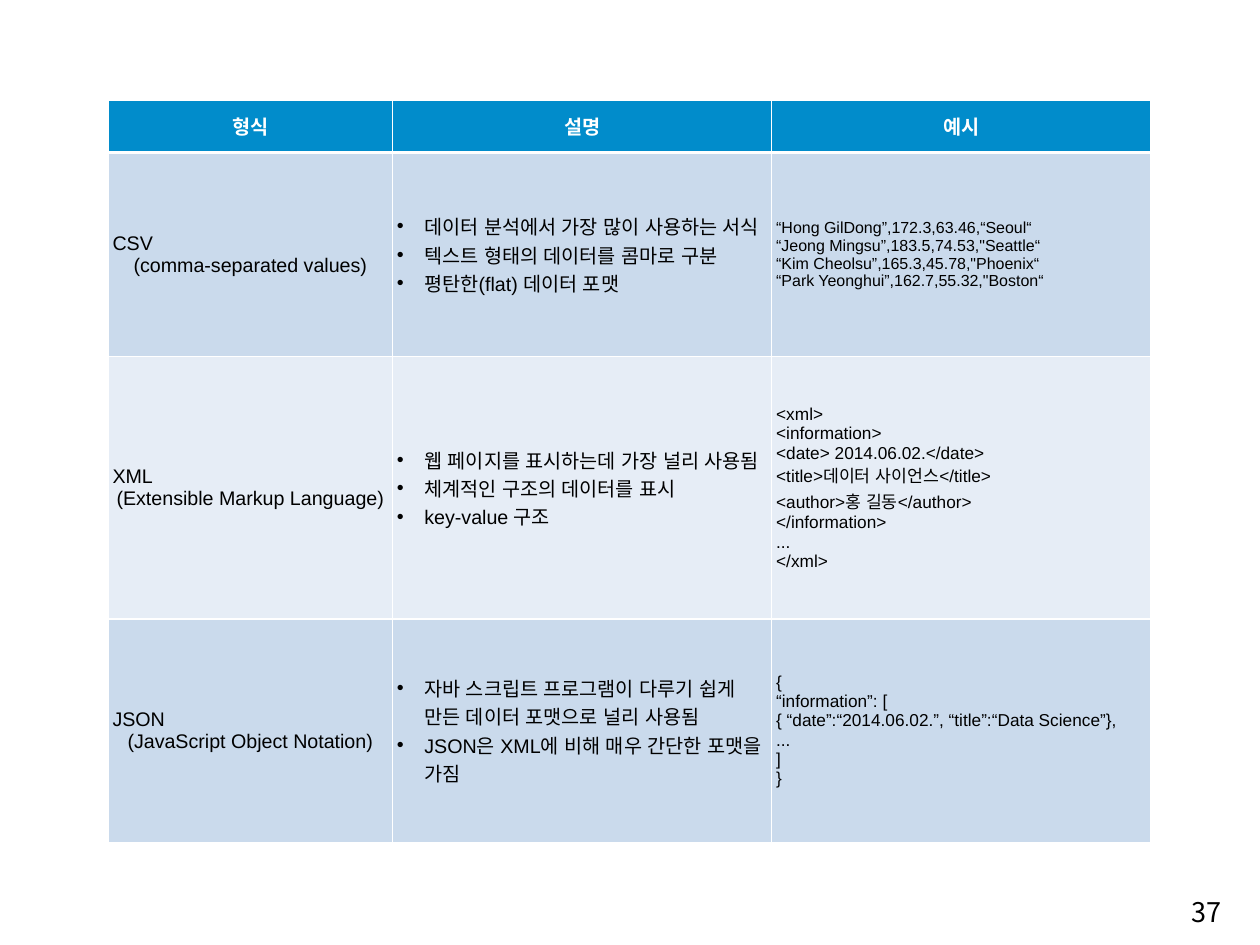
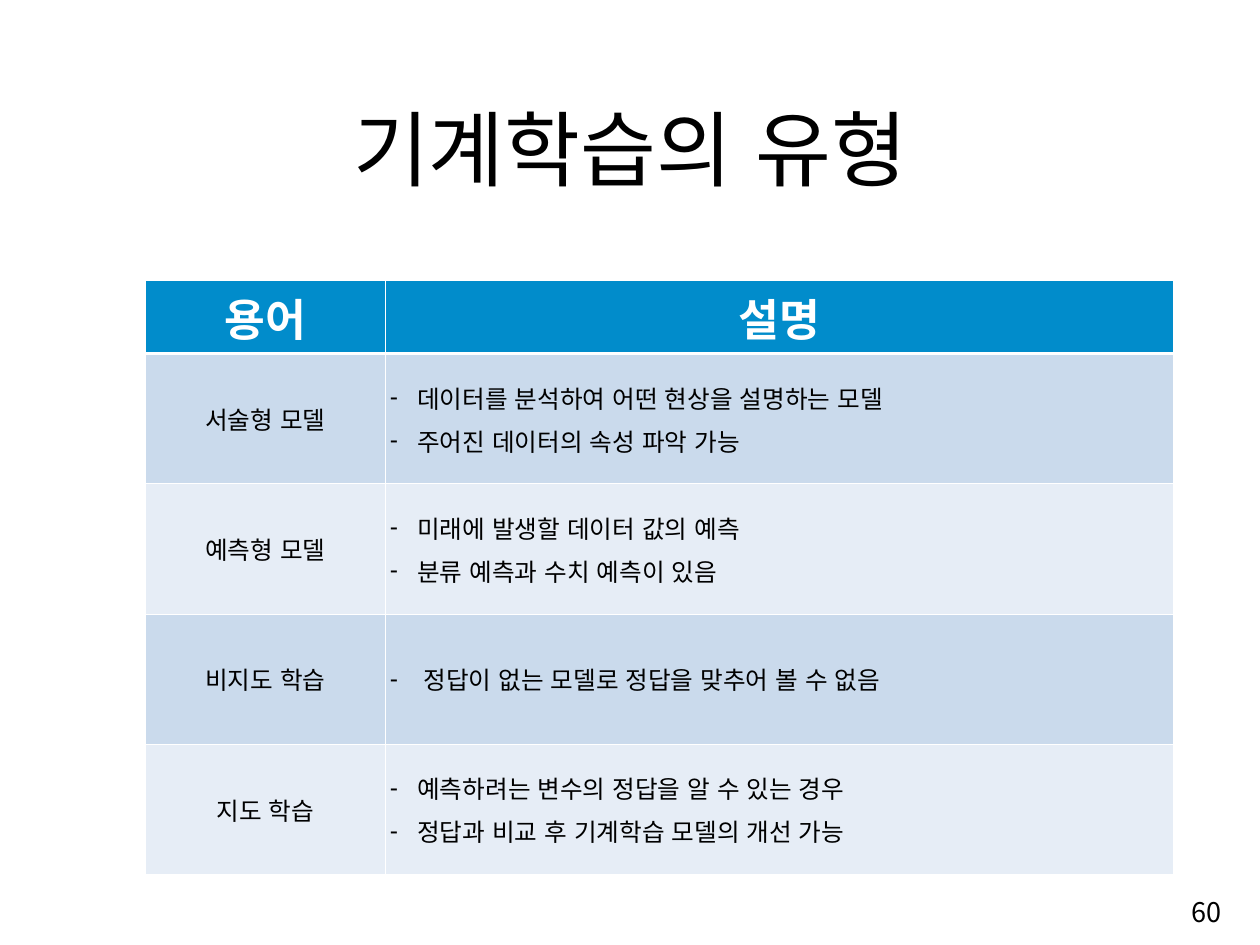
from dataclasses import dataclass, replace
from typing import Any

from lxml import etree
from pptx import Presentation
from pptx.dml.color import RGBColor
from pptx.enum.lang import MSO_LANGUAGE_ID
from pptx.enum.text import MSO_ANCHOR, MSO_AUTO_SIZE, PP_ALIGN
from pptx.oxml.ns import qn
from pptx.util import Emu, Pt

LEFT, CENTER = PP_ALIGN.LEFT, PP_ALIGN.CENTER
MIDDLE, TOP = MSO_ANCHOR.MIDDLE, MSO_ANCHOR.TOP
NO_FIT = MSO_AUTO_SIZE.NONE
KOREAN = MSO_LANGUAGE_ID.KOREAN
TITLE_ONLY, BLANK = 5, 6
SCALE = 9144


@dataclass(frozen=True)
class Theme:
    ink: str = "000000"
    white: str = "FFFFFF"
    head: str = "018CCB"
    bands: tuple[str, str] = ("CADAEC", "E6EDF6")
    latin: str = "Arial"
    hangul: str = "Noto Sans CJK KR"
    title: int = 67
    number: int = 22
    large: int = 36
    medium: int = 20
    body: int = 16
    code: int = 14
    small: int = 13
    thin: int = 1
    thick: int = 3


THEME = Theme()


@dataclass(frozen=True)
class Box:
    x: int
    y: int
    w: int
    h: int


@dataclass(frozen=True)
class Cell:
    lines: tuple[str, ...]
    size: int
    aligns: tuple[Any, ...] = (LEFT,)
    color: str = THEME.ink
    bold: bool = False
    bullet: str = ""
    indent: int = 31
    gap: int = 0


@dataclass(frozen=True)
class Grid:
    x: int
    y: int
    cols: tuple[int, ...]
    rows: tuple[int, ...]
    cells: list[list[Cell]]


def px(n: int) -> Emu:
    return Emu(n * SCALE)


def rgb(code: str) -> RGBColor:
    return RGBColor.from_string(code)


def place(shape: Any, box: Box) -> None:
    shape.left, shape.top = px(box.x), px(box.y)
    shape.width, shape.height = px(box.w), px(box.h)


def mark(para: Any, bullet: str, indent: int) -> None:
    props = para._p.get_or_add_pPr()
    props.set("marL", str(px(indent)))
    props.set("indent", str(-px(indent)))
    etree.SubElement(props, qn("a:buFont"), typeface=THEME.latin)
    etree.SubElement(props, qn("a:buChar"), char=bullet)


def write(frame: Any, lines: tuple[str, ...], *, size: int,
          aligns: tuple[Any, ...] = (CENTER,), color: str = THEME.ink,
          bold: bool = False, face: str = THEME.hangul, bullet: str = "",
          indent: int = 0, gap: int = 0) -> None:
    for i, line in enumerate(lines):
        para = frame.add_paragraph() if i else frame.paragraphs[0]
        if bullet:
            mark(para, bullet, indent)
        para.alignment = aligns[i % len(aligns)]
        para.space_before = Pt(gap if i else 0)
        run = para.add_run()
        run.text = line
        font = run.font
        font.size, font.bold, font.name = Pt(size), bold, face
        font.color.rgb = rgb(color)
        font.language_id = KOREAN
        etree.SubElement(run._r.get_or_add_rPr(), qn("a:ea"),
                         typeface=THEME.hangul)


def inset(frame: Any, anchor: Any) -> None:
    frame.margin_left = frame.margin_right = px(6)
    frame.margin_top = frame.margin_bottom = px(6)
    frame.vertical_anchor = anchor
    frame.auto_size = NO_FIT


def add_title(slide: Any, text: str) -> None:
    title = slide.shapes.title
    place(title, Box(104, 49, 1214, 236))
    inset(title.text_frame, MIDDLE)
    write(title.text_frame, (text,), size=THEME.title)


def add_number(slide: Any, text: str) -> None:
    box = slide.shapes.add_textbox(px(1337), px(1005), px(49), px(49))
    frame = box.text_frame
    inset(frame, TOP)
    frame.word_wrap = False
    write(frame, (text,), size=THEME.number)


def edge(cell: Any, row: int) -> None:
    props = cell._tc.get_or_add_tcPr()
    for side in "LRTB":
        heavy = (row, side) in ((0, "B"), (1, "T"))
        width = THEME.thick if heavy else THEME.thin
        line = etree.SubElement(props, qn(f"a:ln{side}"), w=str(Pt(width)))
        fill = etree.SubElement(line, qn("a:solidFill"))
        etree.SubElement(fill, qn("a:srgbClr"), val=THEME.white)


def add_grid(slide: Any, grid: Grid) -> None:
    table = slide.shapes.add_table(
        len(grid.rows), len(grid.cols), px(grid.x), px(grid.y),
        px(sum(grid.cols)), px(sum(grid.rows))).table
    table.horz_banding = False
    for col, width in zip(table.columns, grid.cols):
        col.width = px(width)
    for r, cells in enumerate(grid.cells):
        table.rows[r].height = px(grid.rows[r])
        for c, data in enumerate(cells):
            cell = table.cell(r, c)
            edge(cell, r)
            cell.fill.solid()
            cell.fill.fore_color.rgb = rgb(
                THEME.bands[(r - 1) % 2] if r else THEME.head)
            cell.margin_left = cell.margin_right = px(5)
            cell.margin_top = cell.margin_bottom = px(5)
            cell.vertical_anchor = MIDDLE
            write(cell.text_frame, data.lines, size=data.size,
                  aligns=data.aligns, color=data.color, bold=data.bold,
                  face=THEME.latin, bullet=data.bullet,
                  indent=data.indent, gap=data.gap)


def heads(size: int, *names: str) -> list[Cell]:
    return [Cell((name,), size, (CENTER,), THEME.white, True)
            for name in names]


def kind(name: str, full: str) -> Cell:
    return Cell((name, full), THEME.body, (LEFT, CENTER))


def dots(*lines: str) -> Cell:
    return Cell(lines, THEME.body, bullet="•")


def code(*lines: str) -> Cell:
    return Cell(lines, THEME.code)


def term(name: str) -> Cell:
    return Cell((name,), THEME.medium, (CENTER,))


def dashes(*lines: str) -> Cell:
    return Cell(lines, THEME.medium, bullet="-", gap=6)


FORMATS = Grid(122, 113, (321, 428, 428), (59, 231, 296, 252), [
    heads(THEME.body, "형식", "설명", "예시"),
    [kind("CSV", "(comma-separated values)"),
     dots("데이터 분석에서 가장 많이 사용하는 서식",
          "텍스트 형태의 데이터를 콤마로 구분",
          "평탄한(flat) 데이터 포맷"),
     replace(code("“Hong GilDong”,172.3,63.46,“Seoul“",
                  "“Jeong Mingsu”,183.5,74.53,\"Seattle“",
                  "“Kim Cheolsu”,165.3,45.78,\"Phoenix“",
                  "“Park Yeonghui”,162.7,55.32,\"Boston“"),
             size=THEME.small)],
    [kind("XML", "(Extensible Markup Language)"),
     dots("웹 페이지를 표시하는데 가장 널리 사용됨",
          "체계적인 구조의 데이터를 표시",
          "key-value 구조"),
     code("<xml>", "<information>", "<date> 2014.06.02.</date>",
          "<title>데이터 사이언스</title>", "<author>홍 길동</author>",
          "</information>", "...", "</xml>")],
    [kind("JSON", "(JavaScript Object Notation)"),
     dots("자바 스크립트 프로그램이 다루기 쉽게 만든 데이터 포맷으로 널리 사용됨",
          "JSON은 XML에 비해 매우 간단한 포맷을 가짐"),
     code("{", "“information”: [",
          "{ “date”:“2014.06.02.”, “title”:“Data Science”},",
          "...", "]", "}")],
])

MODELS = Grid(164, 317, (271, 889), (80,) + (147,) * 4, [
    heads(THEME.large, "용어", "설명"),
    [term("서술형 모델"),
     dashes("데이터를 분석하여 어떤 현상을 설명하는 모델",
            "주어진 데이터의 속성 파악 가능")],
    [term("예측형 모델"),
     dashes("미래에 발생할 데이터 값의 예측",
            "분류 예측과 수치 예측이 있음")],
    [term("비지도 학습"),
     replace(dashes("정답이 없는 모델로 정답을 맞추어 볼 수 없음"), indent=38)],
    [term("지도 학습"),
     dashes("예측하려는 변수의 정답을 알 수 있는 경우",
            "정답과 비교 후 기계학습 모델의 개선 가능")],
])


def main() -> None:
    deck = Presentation()
    deck.slide_width, deck.slide_height = px(1422), px(1067)
    for title, number, grid in (("", "37", FORMATS),
                                ("기계학습의 유형", "60", MODELS)):
        layout = deck.slide_layouts[TITLE_ONLY if title else BLANK]
        slide = deck.slides.add_slide(layout)
        if title:
            add_title(slide, title)
        add_number(slide, number)
        add_grid(slide, grid)
    deck.save("out.pptx")


if __name__ == "__main__":
    main()
